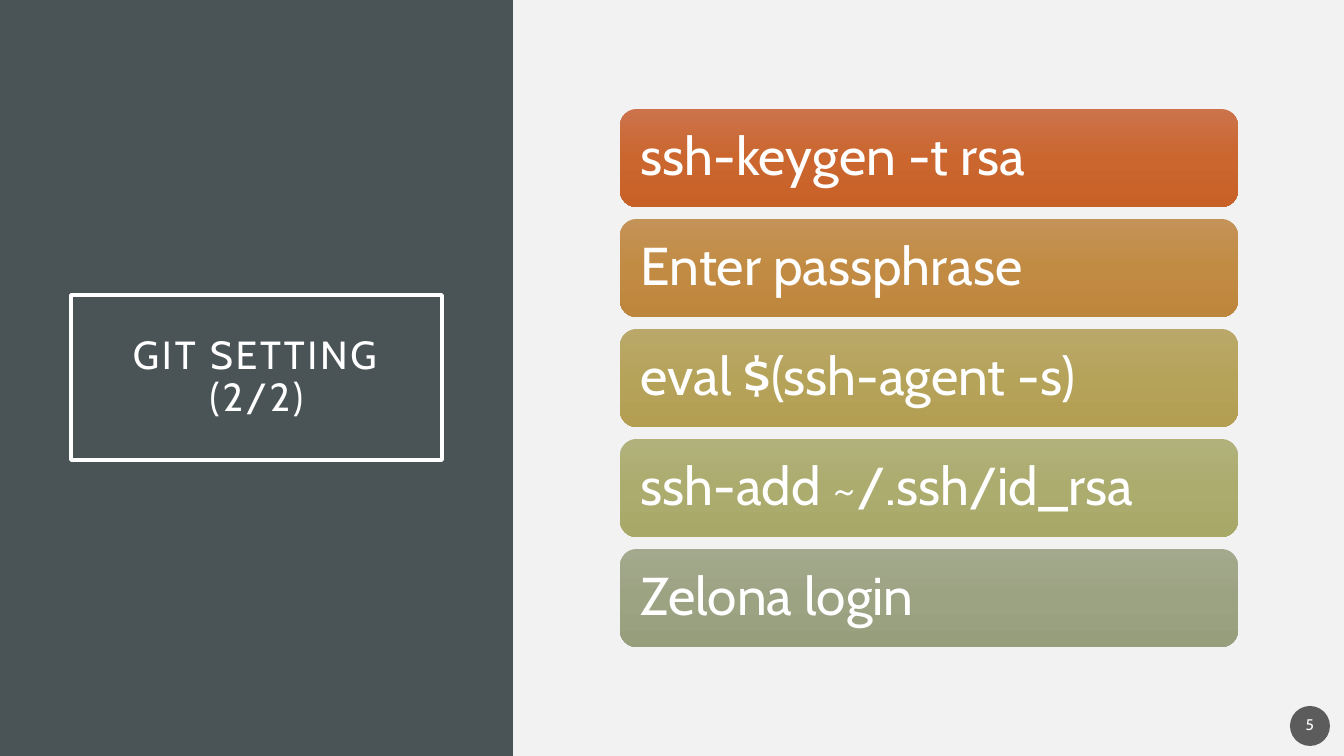
"""Build the Git setting slide: a title panel beside a list of five steps."""
from lxml import etree
from pptx import Presentation
from pptx.dml.color import RGBColor
from pptx.enum.shapes import MSO_SHAPE
from pptx.enum.text import MSO_ANCHOR, MSO_AUTO_SIZE, PP_ALIGN
from pptx.oxml.ns import qn
from pptx.util import Pt

RECT, ROUND, OVAL = MSO_SHAPE.RECTANGLE, MSO_SHAPE.ROUNDED_RECTANGLE, MSO_SHAPE.OVAL
LEFT, CENTER = PP_ALIGN.LEFT, PP_ALIGN.CENTER
MIDDLE, NO_FIT = MSO_ANCHOR.MIDDLE, MSO_AUTO_SIZE.NONE

TITLE = ["GIT SETTING", "(2/2)"]
STEPS = [
    ("ssh-keygen -t rsa", ("CC734B", "CB662F", "C86128")),
    ("Enter passphrase", ("C49358", "C28B43", "BE863C")),
    ("eval $(ssh-agent -s)", ("BAA86A", "B6A35A", "B39E52")),
    ("ssh-add ~/.ssh/id_rsa", ("B1B17B", "ACAC6F", "A8A868")),
    ("Zelona login", ("A3A98C", "9CA383", "979E7C")),
]
PAGE = "5"
COLORS = {"bg": "F2F2F2", "panel": "4A5356", "text": "FFFFFF", "badge": "1D1D1D"}
FONT = "Cabin"
SLIDE_W, SLIDE_H = 1344, 756
PANEL_W = 513
TITLE_BOX = (71, 295, 371, 165)
STEP_X, STEP_Y, STEP_W, STEP_H, STEP_PITCH = 620, 109, 618, 98, 110
BADGE_BOX = (1290, 706, 40, 40)


def px(n):
    return round(n * 914400 / 100.8)


def place(sp, box):
    sp.left, sp.top, sp.width, sp.height = map(px, box)


def paint(fill, color):
    fill.solid()
    fill.fore_color.rgb = RGBColor.from_string(COLORS[color])


def add_box(slide, kind, box):
    sp = slide.shapes.add_shape(kind, *map(px, box))
    sp.shadow.inherit = False
    sp.line.fill.background()
    return sp


def paint_gradient(sp, stops):
    sp.fill.gradient()
    grad = sp._element.spPr.find(qn("a:gradFill"))
    for child in list(grad):
        grad.remove(child)
    gs_list = etree.SubElement(grad, qn("a:gsLst"))
    for i, color in enumerate(stops):
        gs = etree.SubElement(gs_list, qn("a:gs"), pos=str(i * 50000))
        etree.SubElement(gs, qn("a:srgbClr"), val=color)
    etree.SubElement(grad, qn("a:lin"), ang="5400000", scaled="0")


def write(sp, lines, size, align, inset, spacing=0):
    tf = sp.text_frame
    tf.word_wrap, tf.auto_size, tf.vertical_anchor = True, NO_FIT, MIDDLE
    tf.margin_left = tf.margin_right = tf.margin_top = tf.margin_bottom = px(inset)
    p = tf.paragraphs[0]
    p.alignment, p.line_spacing, p.space_before = align, 0.9, Pt(0)
    for i, line in enumerate(lines):
        if i:
            p.add_line_break()
        r = p.add_run()
        r.text = line
        r.font.name, r.font.size = FONT, Pt(size)
        r.font.color.rgb = RGBColor.from_string(COLORS["text"])
        if spacing:
            r.font._element.set("spc", str(spacing * 100))


def main():
    prs = Presentation()
    prs.slide_width, prs.slide_height = px(SLIDE_W), px(SLIDE_H)
    slide = prs.slides.add_slide(prs.slide_layouts[5])
    paint(slide.background.fill, "bg")

    panel = add_box(slide, RECT, (0, 0, PANEL_W, SLIDE_H))
    paint(panel.fill, "panel")
    title = slide.shapes.title
    panel._element.addnext(title._element)
    place(title, TITLE_BOX)
    paint(title.line.fill, "text")
    title.line.width = Pt(2.5)
    write(title, TITLE, 28, CENTER, 20, spacing=2)

    for i, (text, stops) in enumerate(STEPS):
        step = add_box(slide, ROUND, (STEP_X, STEP_Y + i * STEP_PITCH, STEP_W, STEP_H))
        paint_gradient(step, stops)
        write(step, [text], 38, LEFT, 16)

    badge = add_box(slide, OVAL, BADGE_BOX)
    paint(badge.fill, "badge")
    color = badge._element.spPr.find(qn("a:solidFill"))[0]
    etree.SubElement(color, qn("a:alpha"), val="70000")
    write(badge, [PAGE], 11, CENTER, 2)

    prs.save("out.pptx")


if __name__ == "__main__":
    main()
